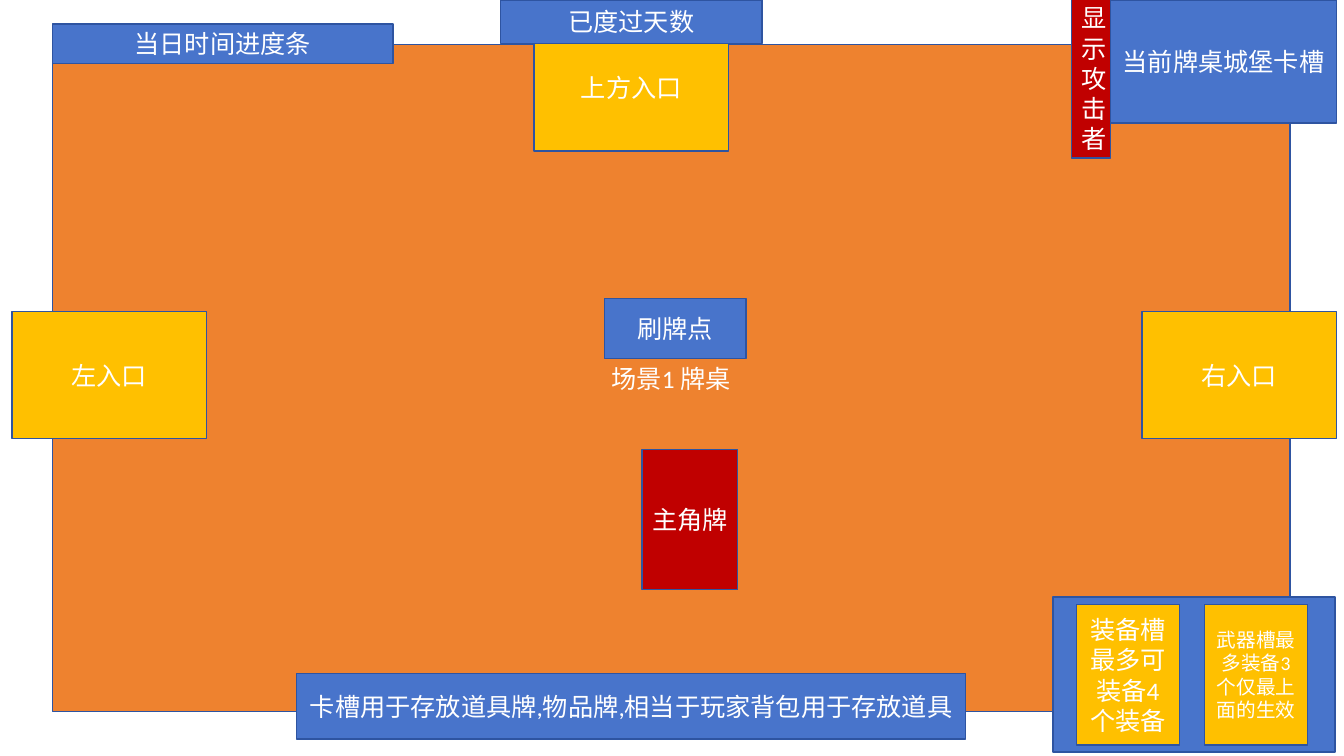
import pptx
import pptx.dml.color
import pptx.enum.shapes
import pptx.enum.text
import pptx.util
from dataclasses import dataclass
from pptx.util import Cm


@dataclass(frozen=True)
class Theme:
    font: str = "Calibri"
    body: int = 18
    small: int = 14
    text: str = "FFFFFF"
    outline: str = "2E54A1"
    table: str = "EE822F"
    panel: str = "4874CB"
    slot: str = "FFC000"
    alert: str = "C00000"


THEME = Theme()
RECT = pptx.enum.shapes.MSO_SHAPE.RECTANGLE
PROCESS = pptx.enum.shapes.MSO_SHAPE.FLOWCHART_PROCESS


def rgb(value):
    return pptx.dml.color.RGBColor.from_string(value)


def write_text(frame, text, size=THEME.body, color=THEME.text):
    frame.word_wrap = True
    frame.vertical_anchor = pptx.enum.text.MSO_ANCHOR.MIDDLE
    paragraph = frame.paragraphs[0]
    paragraph.alignment = pptx.enum.text.PP_ALIGN.CENTER
    run = paragraph.add_run()
    run.text = text
    run.font.name = THEME.font
    run.font.size = pptx.util.Pt(size)
    run.font.color.rgb = rgb(color)


def add_box(slide, left, top, width, height, fill, text="", kind=RECT, **text_format):
    """Add an outlined box; lengths are in centimetres."""
    box = slide.shapes.add_shape(kind, Cm(left), Cm(top), Cm(width), Cm(height))
    box.shadow.inherit = False
    box.fill.solid()
    box.fill.fore_color.rgb = rgb(fill)
    box.line.color.rgb = rgb(THEME.outline)
    box.line.width = pptx.util.Pt(1)
    if text:
        write_text(box.text_frame, text, **text_format)


def add_entrance(slide, left, top, text):
    add_box(slide, left, top, 4.9, 3.2, THEME.slot, text)


def add_gear_panel(slide):
    add_box(slide, 26.54, 15.04, 7.11, 3.91, THEME.panel)
    slots = [("装备槽最多可装备4个装备", THEME.body),
             ("武器槽最多装备3个仅最上面的生效", THEME.small)]
    for index, (text, size) in enumerate(slots):
        add_box(slide, 27.13 + index * 3.23, 15.24, 2.59, 3.53, THEME.slot, text, size=size)


def main():
    deck = pptx.Presentation()
    deck.slide_width, deck.slide_height = Cm(33.87), Cm(19.05)
    slide = deck.slides.add_slide(deck.slide_layouts[6])

    # Card table, backpack, hero and day progress
    add_box(slide, 1.32, 1.12, 31.19, 16.81, THEME.table, "场景1 牌桌")
    add_box(slide, 7.47, 16.97, 16.87, 1.65, THEME.panel,
            "卡槽用于存放道具牌,物品牌,相当于玩家背包用于存放道具")
    add_box(slide, 16.18, 11.33, 2.41, 3.53, THEME.alert, "主角牌")
    add_box(slide, 1.32, 0.61, 8.59, 0.99, THEME.panel, "当日时间进度条")

    # Entrances
    add_entrance(slide, 0.3, 7.85, "左入口")
    add_entrance(slide, 28.78, 7.85, "右入口")
    add_entrance(slide, 13.46, 0.61, "上方入口")

    # Day counter and card spawn point
    add_box(slide, 12.62, 0, 6.58, 1.09, THEME.panel, "已度过天数", kind=PROCESS)
    add_box(slide, 15.24, 7.52, 3.56, 1.52, THEME.panel, "刷牌点")

    # Gear slots, castle slot and attacker marker
    add_gear_panel(slide)
    add_box(slide, 27.99, 0, 5.69, 3.1, THEME.panel, "当前牌桌城堡卡槽")
    add_box(slide, 27, -0.03, 0.99, 4.01, THEME.alert, "显示攻击者")

    deck.save("out.pptx")


if __name__ == "__main__":
    main()
